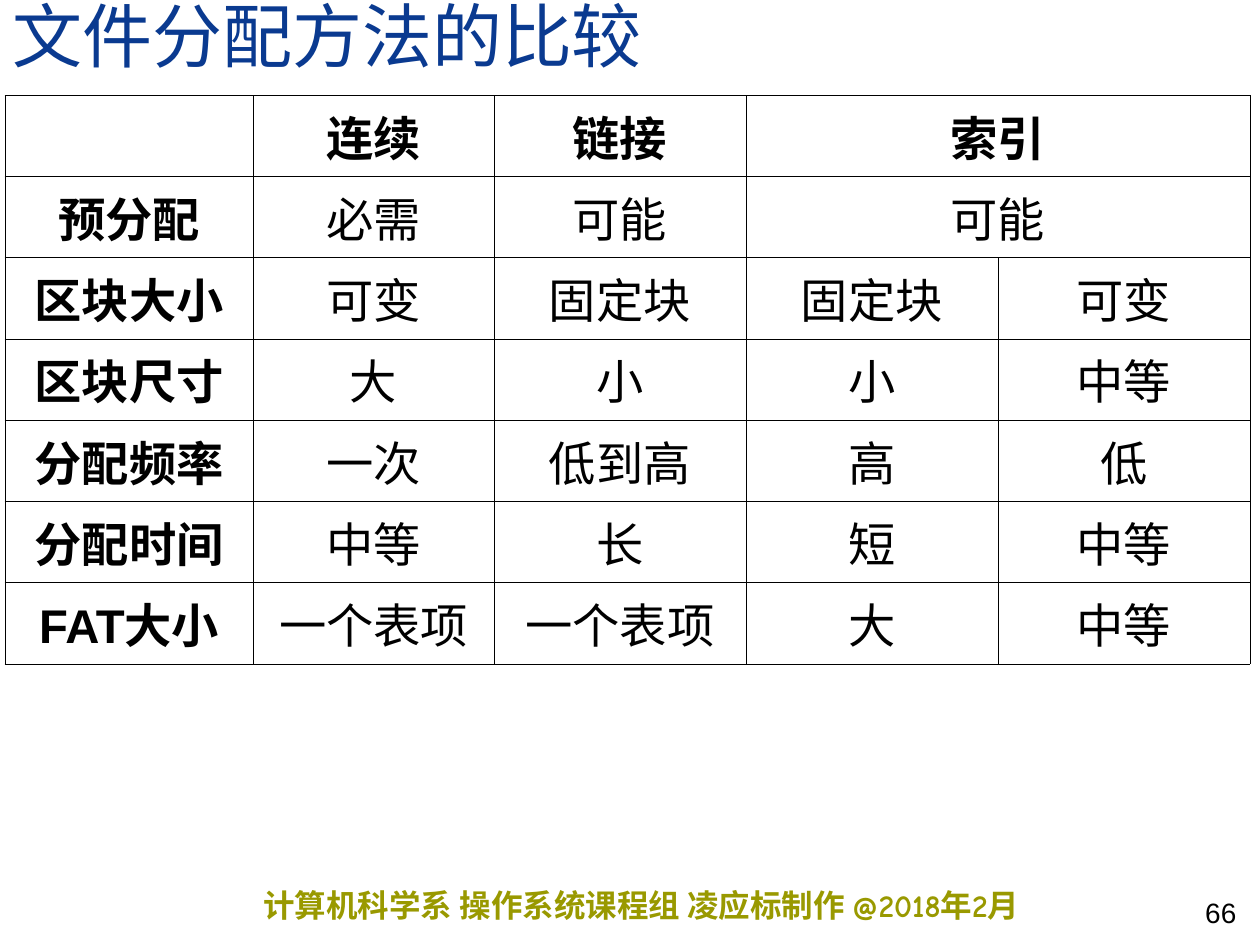
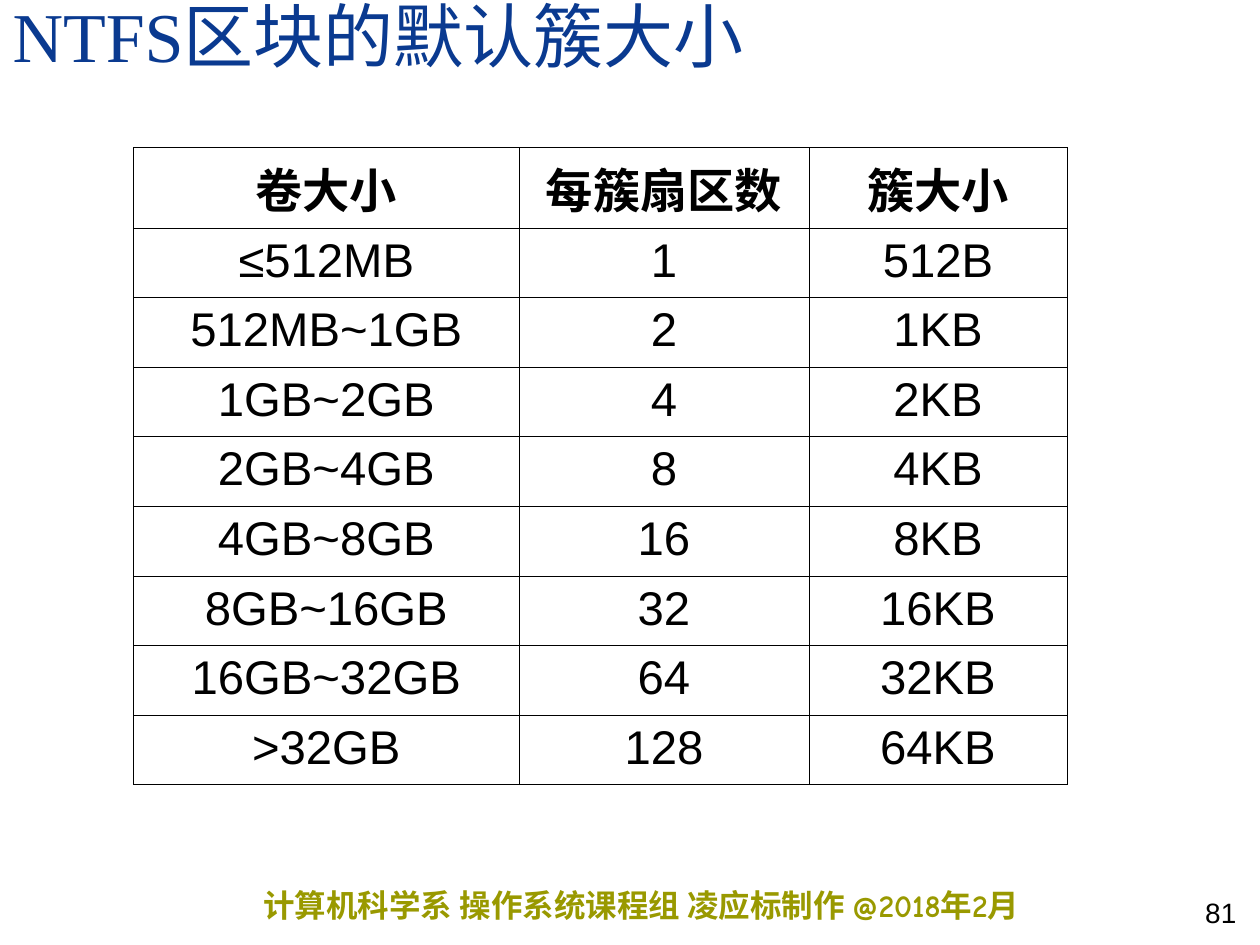
from lxml import etree
from pptx import Presentation
from pptx.dml.color import RGBColor
from pptx.enum import text as tx
from pptx.oxml import ns
from pptx.util import Inches, Pt

THEME = {
    "title": ("Times New Roman", 40, "0A3A90", False),
    "foot": ("Comic Neue", 18, "999900", True),
    "page": ("Arial", 16, "000000", False),
    "head": ("Arial", 27, "000000", True),
    "cell": ("Arial", 27, "000000", False),
    "rule": ("000000", 0.45),
}
FOOT = "计算机科学系 操作系统课程组 凌应标制作 @2018年2月"
HEAD = 0.64

SLIDES = [
    {
        "title": "文件分配方法的比较",
        "page": "66",
        "at": (0.04, 0.76),
        "high": 4.51,
        "cols": [1.97, 1.91, 2, 2, 2],
        "pad": 0.02,
        "side": True,
        "spans": [(0, 3, 4), (1, 3, 4)],
        "rows": [
            ["", "连续", "链接", "索引", ""],
            ["预分配", "必需", "可能", "可能", ""],
            ["区块大小", "可变", "固定块", "固定块", "可变"],
            ["区块尺寸", "大", "小", "小", "中等"],
            ["分配频率", "一次", "低到高", "高", "低"],
            ["分配时间", "中等", "长", "短", "中等"],
            ["FAT大小", "一个表项", "一个表项", "大", "中等"],
        ],
    },
    {
        "title": "NTFS区块的默认簇大小",
        "page": "81",
        "at": (1.06, 1.17),
        "high": 5.06,
        "cols": [3.06, 2.3, 2.05],
        "pad": 0.1,
        "side": False,
        "spans": [],
        "rows": [
            ["卷大小", "每簇扇区数", "簇大小"],
            ["≤512MB", "1", "512B"],
            ["512MB~1GB", "2", "1KB"],
            ["1GB~2GB", "4", "2KB"],
            ["2GB~4GB", "8", "4KB"],
            ["4GB~8GB", "16", "8KB"],
            ["8GB~16GB", "32", "16KB"],
            ["16GB~32GB", "64", "32KB"],
            [">32GB", "128", "64KB"],
        ],
    },
]


def write(frame, words, style, align):
    """Add one styled run to the first paragraph and return the paragraph."""
    para = frame.paragraphs[0]
    para.alignment = align
    run = para.add_run()
    run.text = words
    name, size, color, bold = THEME[style]
    run.font.name, run.font.size, run.font.bold = name, Pt(size), bold
    run.font.color.rgb = RGBColor.from_string(color)
    return para


def border(cell):
    color, width = THEME["rule"]
    props = cell._tc.get_or_add_tcPr()
    for side in ("lnL", "lnR", "lnT", "lnB"):
        line = etree.SubElement(props, ns.qn("a:" + side), w=str(Pt(width)))
        fill = etree.SubElement(line, ns.qn("a:solidFill"))
        etree.SubElement(fill, ns.qn("a:srgbClr"), val=color)


deck = Presentation()
deck.slide_width, deck.slide_height = Inches(10), Inches(7.5)
layout = deck.slide_layouts[5]

for index, data in enumerate(SLIDES):
    slide = deck.slides.add_slide(layout)

    # The footer lives on the master, so every slide shows it
    if index == 0:
        foot = slide.shapes.add_textbox(Inches(2.09), Inches(6.98), Inches(7.32), Inches(0.4))
        frame = foot.text_frame
        frame.word_wrap = True
        frame.margin_left = frame.margin_right = 0
        write(frame, FOOT, "foot", tx.PP_ALIGN.LEFT)
        deck.slide_master.shapes.element.append(foot.element)

    page = slide.shapes.add_textbox(Inches(8.33), Inches(6.92), Inches(1.58), Inches(0.5))
    page.text_frame.word_wrap = True
    page.text_frame.vertical_anchor = tx.MSO_ANCHOR.BOTTOM
    write(page.text_frame, data["page"], "page", tx.PP_ALIGN.RIGHT)

    title = slide.shapes.title
    title.left, title.top = Inches(0), Inches(0)
    title.width, title.height = Inches(10), Inches(0.65)
    frame = title.text_frame
    frame.auto_size = tx.MSO_AUTO_SIZE.NONE
    frame.vertical_anchor = tx.MSO_ANCHOR.BOTTOM
    write(frame, data["title"], "title", tx.PP_ALIGN.LEFT).line_spacing = 0.8

    rows, cols, high = data["rows"], data["cols"], data["high"]
    left, top = data["at"]
    table = slide.shapes.add_table(
        len(rows), len(cols), Inches(left), Inches(top),
        Inches(sum(cols)), Inches(high)).table
    table.first_row = table.horz_banding = False
    for col, width in zip(table.columns, cols):
        col.width = Inches(width)
    step = (high - HEAD) / (len(rows) - 1)
    for r, row in enumerate(rows):
        table.rows[r].height = Inches(step if r else HEAD)
        for c, words in enumerate(row):
            cell = table.cell(r, c)
            border(cell)
            cell.fill.background()
            cell.margin_left = cell.margin_right = Inches(data["pad"])
            if words:
                head = r == 0 or (data["side"] and c == 0)
                write(cell.text_frame, words, "head" if head else "cell", tx.PP_ALIGN.CENTER)
    for r, start, end in data["spans"]:
        table.cell(r, start).merge(table.cell(r, end))

deck.save("out.pptx")
